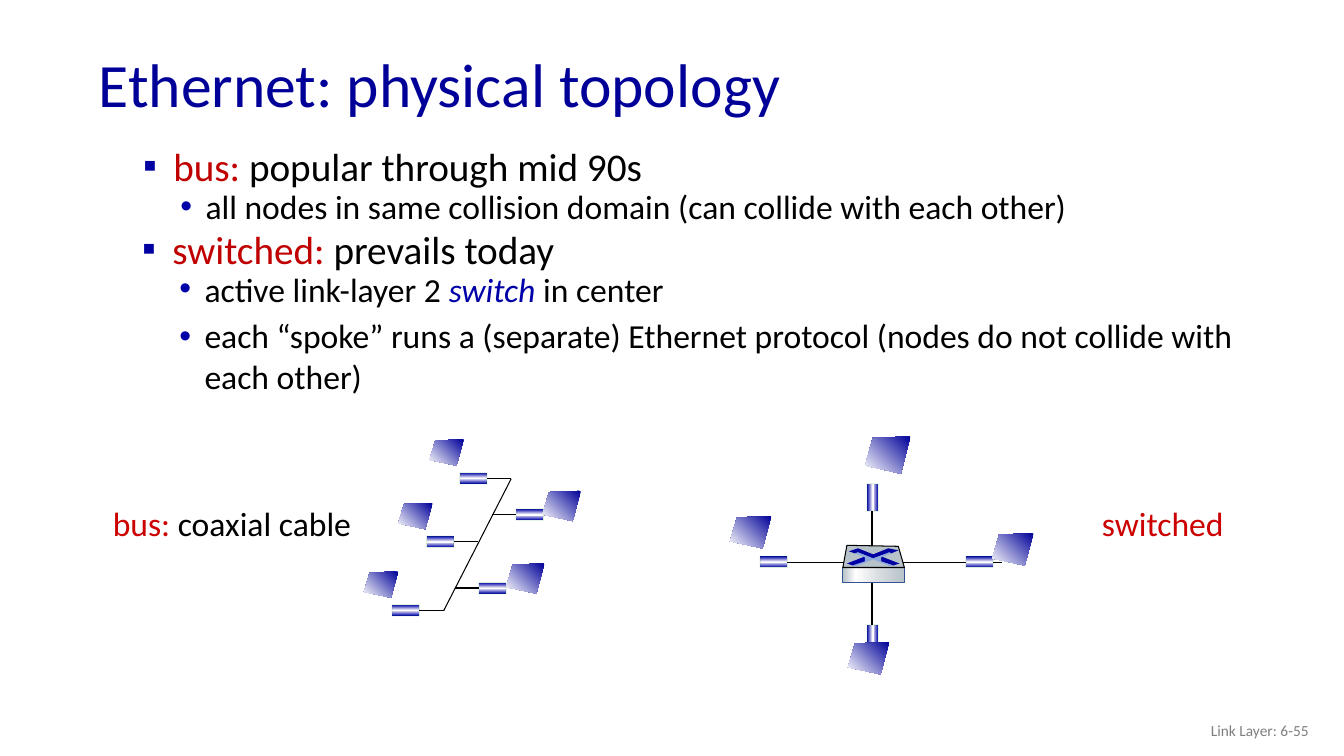
from lxml import etree
from pptx import Presentation
from pptx.dml.color import RGBColor
from pptx.enum.shapes import MSO_CONNECTOR, MSO_SHAPE
from pptx.enum.text import MSO_ANCHOR, MSO_AUTO_SIZE, PP_ALIGN
from pptx.oxml import parse_xml
from pptx.oxml.ns import nsdecls, qn
from pptx.util import Inches, Pt

NAVY = RGBColor(0x00, 0x00, 0x99)
BLUE = RGBColor(0x00, 0x00, 0xA8)
ARROW_BLUE = RGBColor(0x00, 0x00, 0xA3)
PALE_BLUE = RGBColor(0x8D, 0xA9, 0xDB)
EDGE_BLUE = RGBColor(0x31, 0x53, 0x8F)
STEEL = RGBColor(0xB8, 0xC2, 0xC9)
LIGHT_STEEL = RGBColor(0xD6, 0xDC, 0xE0)
RED = RGBColor(0xC0, 0x00, 0x00)
LABEL_RED = RGBColor(0xCC, 0x00, 0x00)
GREEN = RGBColor(0x00, 0x80, 0x00)
GRAY = RGBColor(0x7F, 0x7F, 0x7F)
BLACK = RGBColor(0x00, 0x00, 0x00)
WHITE = RGBColor(0xFF, 0xFF, 0xFF)

ADAPTER_STOPS = [(0, BLUE), (50, WHITE), (100, BLUE)]
SCREEN_STOPS = [(0, NAVY), (100, WHITE)]
CASE_STOPS = [(0, STEEL), (21, WHITE), (60, LIGHT_STEEL), (100, STEEL)]
SCREEN_CORNERS = [(1, 0), (0.17, 0.04), (0, 0.78), (0.79, 1)]
ADAPTER_W, ADAPTER_H = 0.11, 0.27
BULLETS = [("▪", ARROW_BLUE, 0.44, -0.3, 28), ("•", BLUE, 0.76, -0.25, 24)]


class TopologySlide:
    font = "Calibri"

    def __init__(self, deck):
        self.slide = deck.slides.add_slide(deck.slide_layouts[5])
        self.shapes = self.slide.shapes

    def add_runs(self, paragraph, runs, size):
        """Add (text, colour[, italic]) runs to a paragraph."""
        for text, color, *italic in runs:
            run = paragraph.add_run()
            run.text = text
            run.font.name, run.font.size = self.font, Pt(size)
            run.font.color.rgb = color
            if italic:
                run.font.italic = italic[0]

    def title(self, text):
        title = self.shapes.title
        title.left, title.top = Inches(0.88), Inches(0.38)
        title.width, title.height = Inches(11.5), Inches(0.98)
        frame = title.text_frame
        frame.auto_size = MSO_AUTO_SIZE.NONE
        frame.vertical_anchor = MSO_ANCHOR.MIDDLE
        frame.paragraphs[0].alignment = PP_ALIGN.LEFT
        frame.paragraphs[0].line_spacing = 0.9
        self.add_runs(frame.paragraphs[0], [(text, NAVY)], 44)

    def text_box(self, left, top, width, height, wrap=True):
        frame = self.shapes.add_textbox(*map(Inches, (left, top, width, height))).text_frame
        frame.word_wrap = wrap
        return frame

    def label(self, left, top, width, runs):
        frame = self.text_box(left, top, width, 0.5, wrap=False)
        frame.auto_size = MSO_AUTO_SIZE.SHAPE_TO_FIT_TEXT
        self.add_runs(frame.paragraphs[0], runs, 24)

    def footer(self, text):
        frame = self.text_box(10.08, 7.05, 3, 0.4)
        frame.vertical_anchor = MSO_ANCHOR.MIDDLE
        frame.paragraphs[0].alignment = PP_ALIGN.RIGHT
        self.add_runs(frame.paragraphs[0], [(text, GRAY)], 11)

    def bullets(self, left, top, height, items):
        """Set (level, line spacing, runs) items as a bulleted list."""
        frame = self.text_box(left, top, 11.85, height)
        for index, (level, spacing, runs) in enumerate(items):
            paragraph = frame.add_paragraph() if index else frame.paragraphs[0]
            mark, color, margin, indent, size = BULLETS[level]
            props = paragraph._p.get_or_add_pPr()
            props.set("marL", str(Inches(margin)))
            props.set("indent", str(Inches(indent)))
            mark_color = etree.SubElement(props, qn("a:buClr"))
            etree.SubElement(mark_color, qn("a:srgbClr")).set("val", str(color))
            etree.SubElement(props, qn("a:buFont")).set("typeface", "Arial")
            etree.SubElement(props, qn("a:buChar")).set("char", mark)
            paragraph.level = level
            paragraph.line_spacing = spacing
            if index:
                paragraph.space_before = Pt(5 * level)
            self.add_runs(paragraph, runs, size)

    def gradient(self, shape, stops, angle):
        marks = "".join(
            f'<a:gs pos="{pos * 1000}"><a:srgbClr val="{color}"/></a:gs>' for pos, color in stops)
        fill = parse_xml(
            f'<a:gradFill {nsdecls("a")} rotWithShape="1"><a:gsLst>{marks}</a:gsLst>'
            f'<a:lin ang="{angle * 60000}" scaled="0"/></a:gradFill>')
        geometry = [child for child in shape._element.spPr if child.tag.endswith("Geom")][0]
        geometry.addnext(fill)

    def outline(self, shape, color=None):
        shape.shadow.inherit = False
        if color is None:
            shape.line.fill.background()
        else:
            shape.line.color.rgb = color
            shape.line.width = Pt(0.75)

    def box(self, left, top, width, height, stops, edge):
        box = self.shapes.add_shape(
            MSO_SHAPE.RECTANGLE, *map(Inches, (left, top, width, height)))
        self.outline(box, edge)
        self.gradient(box, stops, 0)
        return box

    def polygon(self, points, color=None, edge=None):
        start, *rest = [(Inches(x), Inches(y)) for x, y in points]
        builder = self.shapes.build_freeform(*start)
        builder.add_line_segments(rest, close=True)
        polygon = builder.convert_to_shape()
        self.outline(polygon, edge)
        if color is not None:
            polygon.fill.solid()
            polygon.fill.fore_color.rgb = color
        return polygon

    def screen(self, left, top, width, height):
        """Draw a tilted computer screen."""
        corners = [(left + x * width, top + y * height) for x, y in SCREEN_CORNERS]
        self.gradient(self.polygon(corners), SCREEN_STOPS, 135)

    def adapter(self, left, top, turn):
        """Draw a network adapter whose top is turned towards its cable."""
        adapter = self.box(left, top, ADAPTER_W, ADAPTER_H, ADAPTER_STOPS, GREEN)
        adapter.rotation = turn
        line_color = adapter._element.spPr.find(".//" + qn("a:ln")).find(".//" + qn("a:srgbClr"))
        etree.SubElement(line_color, qn("a:alpha")).set("val", "15000")
        return adapter

    def cable(self, x1, y1, x2, y2, width=1, adapter=None):
        """Draw a cable, joined at its start to the turned top of an adapter."""
        cable = self.shapes.add_connector(
            MSO_CONNECTOR.STRAIGHT, *map(Inches, (x1, y1, x2, y2)))
        cable.line.color.rgb = BLACK
        cable.line.width = Pt(width)
        etree.SubElement(cable._element.spPr, qn("a:effectLst"))
        if adapter is not None:
            cable.begin_connect(adapter, 0)
            cable.begin_x, cable.begin_y = Inches(x1), Inches(y1)

    def bus_node(self, left, top, turn, screen):
        side = 1 if turn == 90 else -1
        adapter = self.adapter(left, top, turn)
        x = left + ADAPTER_W / 2 + side * ADAPTER_H / 2
        y = top + ADAPTER_H / 2
        self.cable(x, y, x + side * 0.24, y, adapter=adapter)
        self.screen(*screen)

    def switch(self):
        self.box(8.36, 5.63, 0.61, 0.15, CASE_STOPS, EDGE_BLUE)
        self.polygon([(8.36, 5.63), (8.4, 5.41), (8.91, 5.42), (8.97, 5.63)], STEEL, BLACK)
        self.polygon([(8.81, 5.44), (8.91, 5.46), (8.84, 5.49), (8.82, 5.48), (8.66, 5.54),
                      (8.51, 5.48), (8.48, 5.49), (8.42, 5.47), (8.51, 5.44), (8.66, 5.5)],
                     ARROW_BLUE)
        self.polygon([(8.74, 5.52), (8.92, 5.59), (8.86, 5.61), (8.74, 5.57)], ARROW_BLUE)
        self.polygon([(8.58, 5.52), (8.58, 5.57), (8.46, 5.61), (8.4, 5.59)], BLUE)
        self.polygon([(8.48, 5.49), (8.51, 5.48), (8.66, 5.54), (8.82, 5.48), (8.84, 5.49),
                      (8.74, 5.53), (8.74, 5.57), (8.86, 5.61), (8.83, 5.62), (8.66, 5.55),
                      (8.49, 5.62), (8.46, 5.61), (8.58, 5.57), (8.58, 5.53)], PALE_BLUE)


def main():
    deck = Presentation()
    deck.slide_width, deck.slide_height = Inches(13.33), Inches(7.5)
    page = TopologySlide(deck)
    page.title("Ethernet: physical topology")
    page.footer("Link Layer: 6-55")
    page.bullets(1.18, 1.47, 1.01, [
        (0, 0.75, [("bus: ", RED), ("popular through mid 90s", BLACK)]),
        (1, 0.75, [("all nodes in same collision domain (can collide with each other)", BLACK)]),
    ])
    page.bullets(1.17, 2.29, 1.79, [
        (0, 0.75, [("switched: ", RED), ("prevails today", BLACK)]),
        (1, 0.75, [("active link-layer 2 ", BLACK), ("switch ", BLUE, True),
                   ("in center", BLACK)]),
        (1, 1.0, [("each “spoke” runs a (separate) Ethernet protocol "
                   "(nodes do not collide with each other)", BLACK)]),
    ])

    page.label(1.02, 4.94, 2.58, [("bus: ", LABEL_RED), ("coaxial cable", BLACK)])
    page.cable(5.07, 4.75, 4.4, 6.06, width=0.75)
    for left, top, screen_left, screen_top in [
            (4.64, 4.61, 4.26, 4.36), (4.31, 5.24, 3.95, 4.99), (3.97, 5.92, 3.61, 5.67)]:
        page.bus_node(left, top, 90, (screen_left, screen_top, 0.34, 0.26))
    for left, top, screen_left, screen_top in [
            (4.83, 5.7, 5.02, 5.59), (5.2, 4.97, 5.38, 4.87)]:
        page.bus_node(left, top, 270, (screen_left, screen_top, 0.38, 0.3))

    page.label(10.83, 4.94, 1.42, [("switched", LABEL_RED)])
    top_adapter = page.adapter(8.6, 4.8, 180)
    page.cable(8.65, 5.07, 8.65, 6.44, adapter=top_adapter)
    page.cable(7.6, 5.58, 9.94, 5.58)
    for left, top, turn in [(7.62, 5.44, 90), (9.66, 5.44, 90), (8.6, 6.2, 180)]:
        page.adapter(left, top, turn)
    for left, top in [(7.24, 5.12), (9.84, 5.29), (8.41, 6.37)]:
        page.screen(left, top, 0.41, 0.32)
    page.screen(8.58, 4.33, 0.45, 0.37)
    page.switch()
    deck.save("out.pptx")


if __name__ == "__main__":
    main()
